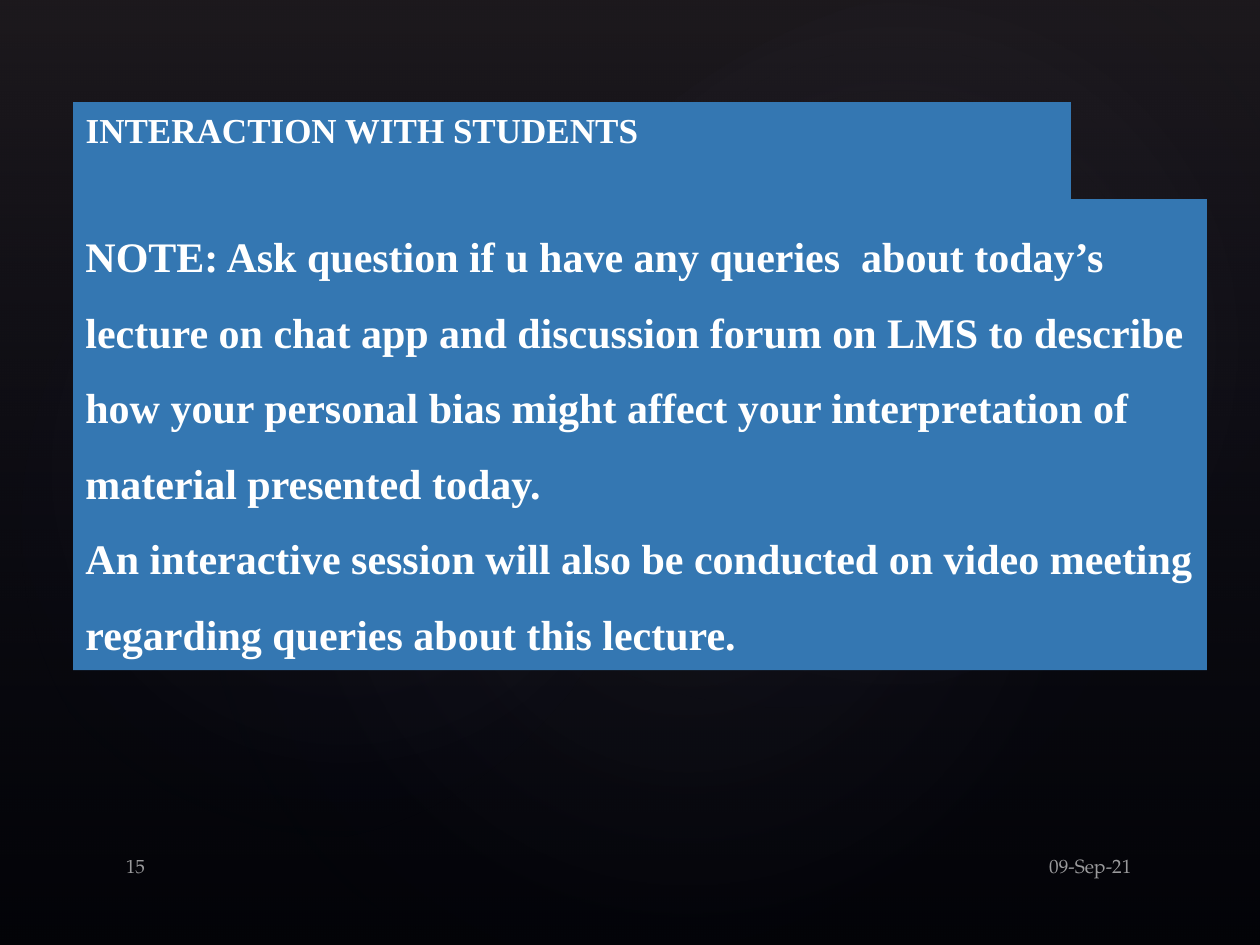
import lxml.etree
import pptx
import pptx.dml.color
import pptx.enum.shapes
import pptx.enum.text
import pptx.oxml
import pptx.oxml.ns
import pptx.util

Inches = pptx.util.Inches
Pt = pptx.util.Pt
RGBColor = pptx.dml.color.RGBColor
ShapeType = pptx.enum.shapes.MSO_SHAPE
Align = pptx.enum.text.PP_ALIGN
qn = pptx.oxml.ns.qn

BLACK = RGBColor(0x00, 0x00, 0x00)
WHITE = RGBColor(0xFF, 0xFF, 0xFF)
BLUE = RGBColor(0x34, 0x77, 0xB2)
NAVY = RGBColor(0x24, 0x28, 0x52)
PLUM = RGBColor(0x50, 0x46, 0x52)
MAUVE = RGBColor(0xC4, 0xBC, 0xC6)

LINEAR = '<a:lin ang="5400000" scaled="0"/>'
RADIAL = ('<a:path path="circle"><a:fillToRect l="50000" t="50000" '
          'r="50000" b="50000"/></a:path>')


def add_glow(shape_type, box, rotation, stops, direction):
    """Add a shape with a gradient of (position, colour, opacity) stops in percent."""
    shape = slide.shapes.add_shape(shape_type, *map(Inches, box))
    shape.rotation = rotation
    shape.shadow.inherit = False
    shape.line.fill.background()
    shape.fill.background()
    stop_xml = "".join(
        f'<a:gs pos="{position * 1000}"><a:srgbClr val="{color}">'
        f'<a:alpha val="{opacity * 1000}"/></a:srgbClr></a:gs>'
        for position, color, opacity in stops)
    gradient = pptx.oxml.parse_xml(
        f'<a:gradFill {pptx.oxml.ns.nsdecls("a")} rotWithShape="1">'
        f'<a:gsLst>{stop_xml}</a:gsLst>{direction}</a:gradFill>')
    properties = shape.element.spPr
    properties.replace(properties.find(qn("a:noFill")), gradient)


def write_text(shape, box, paragraphs, font_format, paragraph_format):
    shape.left, shape.top, shape.width, shape.height = map(Inches, box)
    frame = shape.text_frame
    frame.word_wrap = True
    frame.vertical_anchor = pptx.enum.text.MSO_ANCHOR.TOP
    frame.text = "\n".join(paragraphs)
    for paragraph in frame.paragraphs:
        for name, value in paragraph_format.items():
            setattr(paragraph, name, value)
        font = paragraph.runs[0].font
        for name, value in font_format.items():
            setattr(font, name, value)
        font.color.rgb = WHITE


presentation = pptx.Presentation()
presentation.slide_width = Inches(10)
presentation.slide_height = Inches(7.5)
slide = presentation.slides.add_slide(presentation.slide_layouts[5])
slide.background.fill.solid()
slide.background.fill.fore_color.rgb = BLACK

# Dark backdrop with three soft glows
add_glow(ShapeType.RECTANGLE, (0, 0, 10, 7.5), 0,
         [(0, PLUM, 36), (100, NAVY, 10)], LINEAR)
for box, rotation, opacity in [
    ((1.5, 1.14, 7.92, 6.24), 328.7, 7),
    ((-0.3, 1.28, 6.06, 4.9), 294.3, 8),
    ((3.58, 0.13, 7.09, 5.2), 328.7, 8),
]:
    add_glow(ShapeType.OVAL, box, rotation,
             [(0, MAUVE, opacity), (58, NAVY, 0)], RADIAL)

# Date and slide number
for text, box, alignment in [
    ("09-Sep-21", (6.75, 6.73, 2.33, 0.4), Align.RIGHT),
    ("15", (0.9, 6.73, 5, 0.4), Align.LEFT),
]:
    footer = slide.shapes.add_textbox(0, 0, 0, 0)
    write_text(footer, box, [text],
               {"name": "TeX Gyre Pagella", "size": Pt(11)},
               {"alignment": alignment})
    for color in footer.element.iter(qn("a:srgbClr")):
        lxml.etree.SubElement(color, qn("a:alpha"), val="60000")

# Blue note and title
note = slide.shapes.add_textbox(0, 0, 0, 0)
title = slide.shapes.title
note.element.addnext(title.element)  # bring the title in front of the backdrop
note_text = [
    "NOTE: Ask question if u have any queries  about today’s lecture on "
    "chat app and discussion forum on LMS to describe how your personal bias "
    "might affect your interpretation of material presented today.",
    "An interactive session will also be conducted on video meeting "
    "regarding queries about this lecture.",
]
for shape, box, paragraphs, size, spacing in [
    (note, (0.58, 1.58, 9, 3.74), note_text, 24, 1.5),
    (title, (0.58, 0.81, 7.92, 0.44), ["INTERACTION WITH STUDENTS"], 20, 1.0),
]:
    write_text(shape, box, paragraphs,
               {"name": "Times New Roman", "size": Pt(size), "bold": True},
               {"alignment": Align.LEFT, "line_spacing": spacing,
                "space_before": Pt(0)})
    shape.text_frame.auto_size = pptx.enum.text.MSO_AUTO_SIZE.SHAPE_TO_FIT_TEXT
    shape.fill.solid()
    shape.fill.fore_color.rgb = BLUE

presentation.save("out.pptx")
